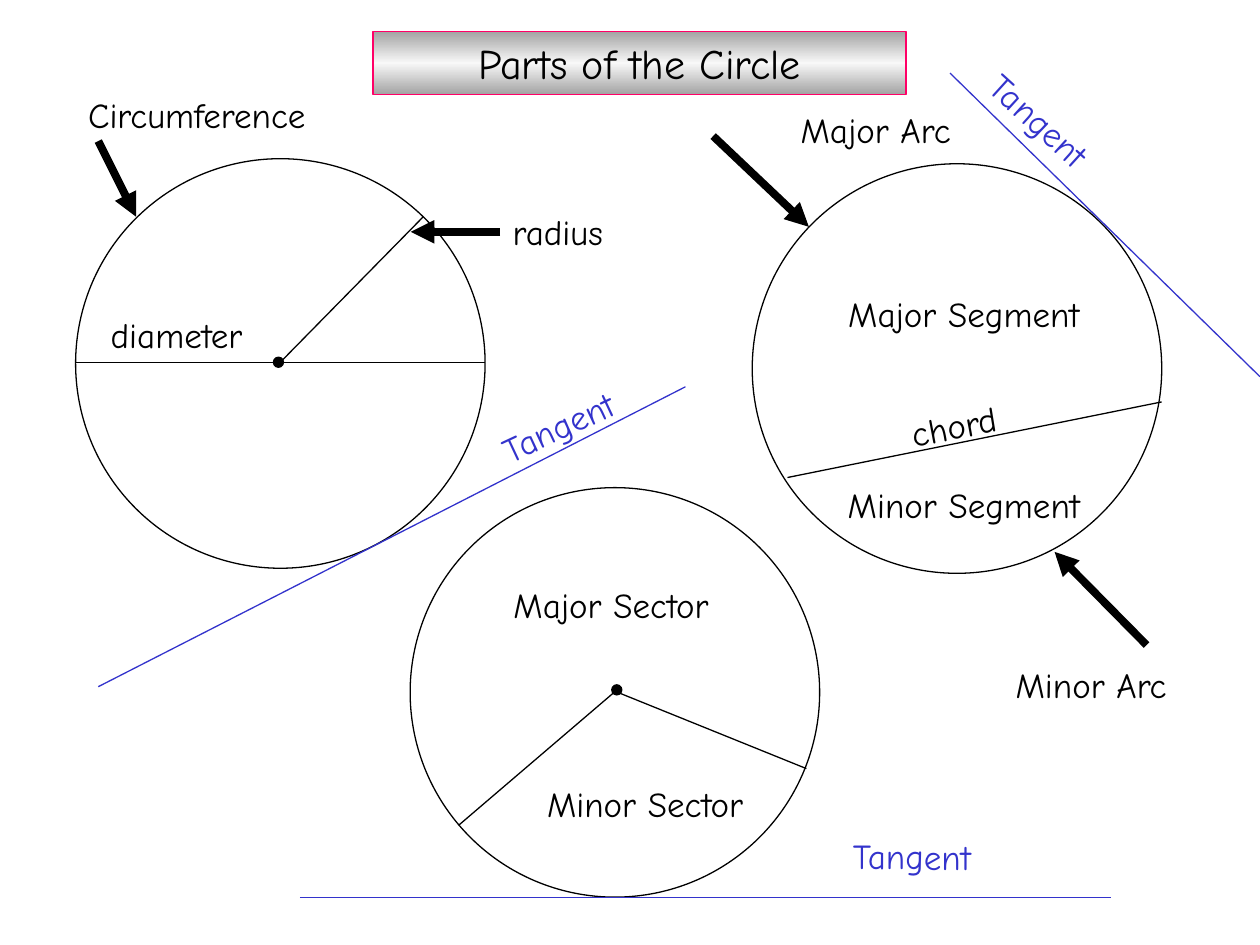
from copy import deepcopy
from typing import NamedTuple

from pptx import Presentation
from pptx.dml.color import RGBColor
from pptx.enum.shapes import MSO_CONNECTOR, MSO_SHAPE
from pptx.enum.text import MSO_ANCHOR, MSO_AUTO_SIZE, PP_ALIGN
from pptx.oxml.ns import qn
from pptx.util import Inches, Pt

STRAIGHT = MSO_CONNECTOR.STRAIGHT
OVAL = MSO_SHAPE.OVAL
LEFT, CENTER = PP_ALIGN.LEFT, PP_ALIGN.CENTER
TOP = MSO_ANCHOR.TOP
FIXED_SIZE = MSO_AUTO_SIZE.NONE

BLACK = RGBColor(0x00, 0x00, 0x00)
BLUE = RGBColor(0x33, 0x33, 0xCC)
PINK = RGBColor(0xFF, 0x00, 0x66)
GREY = RGBColor(0xA3, 0xA3, 0xA3)
PALE = RGBColor(0xF8, 0xF8, 0xF8)
FONT = "Comic Neue"

SLIDE_W, SLIDE_H = Inches(10), Inches(7.5)
COLUMNS, ROWS = 100, 75
THIN, THICK = 0.75, 4.5
RADIUS, DOT_RADIUS = 16.25, 0.4
LABEL_H = 4.4


class Circle(NamedTuple):
    x: float
    y: float
    radius: float = RADIUS
    filled: bool = False


class Line(NamedTuple):
    x1: float
    y1: float
    x2: float
    y2: float
    color: RGBColor = BLACK
    arrow: bool = False


class Label(NamedTuple):
    text: str
    x: float
    y: float
    width: float
    align: PP_ALIGN = CENTER
    color: RGBColor = BLACK
    angle: float = 0


CIRCLES = [
    Circle(22.25, 28.85),
    Circle(75.95, 29.25),
    Circle(48.8, 54.95),
    Circle(22.1, 28.75, DOT_RADIUS, True),
    Circle(48.95, 54.75, DOT_RADIUS, True),
]

LINES = [
    Line(6, 28.75, 38.5, 28.75),  # diameter
    Line(22.2, 28.8, 33.6, 17.2),  # radius
    Line(62.5, 37.9, 92.2, 31.9),  # chord
    Line(48.8, 54.9, 36.4, 65.5),  # sector sides
    Line(48.9, 54.9, 64, 61),
    Line(7.8, 54.5, 54.4, 30.7, BLUE),  # tangents
    Line(23.8, 71.25, 88.2, 71.25, BLUE),
    Line(75.4, 5.8, 100, 29.9, BLUE),
    Line(7.8, 11.2, 10.8, 17.2, arrow=True),  # circumference
    Line(39.7, 18.4, 32.6, 18.4, arrow=True),  # radius
    Line(56.6, 10.8, 64.2, 18, arrow=True),  # major arc
    Line(91, 51.2, 83.7, 43.8, arrow=True),  # minor arc
]

LABELS = [
    Label("Circumference", 6, 6.9, 25.8, LEFT),
    Label("diameter", 7.8, 24.4, 25.8, LEFT),
    Label("radius", 39.7, 16.2, 11, LEFT),
    Label("chord", 71.3, 31.4, 11, LEFT, angle=-10.7),
    Label("Major Segment", 63.9, 22.7, 25.2),
    Label("Minor Segment", 63.9, 37.9, 25.2),
    Label("Major Arc", 59.6, 8.1, 19.8),
    Label("Minor Arc", 76.7, 52.2, 19.8),
    Label("Major Sector", 38.6, 45.8, 19.8),
    Label("Minor Sector", 41.3, 61.6, 19.8),
    Label("Tangent", 38.3, 30, 19.2, LEFT, BLUE, -25.1),
    Label("Tangent", 75.8, 10, 19.2, LEFT, BLUE, 42.2),
    Label("Tangent", 66.7, 65.8, 19.2, LEFT, BLUE, 0.2),
]


def col(n: float) -> int:
    return round(SLIDE_W * n / COLUMNS)


def row(n: float) -> int:
    return round(SLIDE_H * n / ROWS)


def set_text(sp, text: str, size: float, color: RGBColor, align: PP_ALIGN) -> None:
    tf = sp.text_frame
    tf.text = text
    tf.word_wrap = True
    tf.auto_size = FIXED_SIZE
    tf.vertical_anchor = TOP
    p = tf.paragraphs[0]
    p.alignment = align
    p.space_before = Pt(0)
    font = p.runs[0].font
    font.name, font.size, font.color.rgb = FONT, Pt(size), color


def draw_title(sp) -> None:
    sp.left, sp.top, sp.width, sp.height = col(29.6), row(2.5), col(42.3), row(5)
    set_text(sp, "Parts of the Circle", 24, BLACK, CENTER)
    sp.line.color.rgb, sp.line.width = PINK, Pt(THIN)
    sp.fill.gradient()
    sp.fill.gradient_angle = 270
    stops = sp._element.spPr.find(".//" + qn("a:gsLst"))
    stops.append(deepcopy(stops[0]))
    for stop, position, color in zip(
        sp.fill.gradient_stops, (0, 0.5, 1), (GREY, PALE, GREY)
    ):
        stop.position, stop.color.rgb = position, color


def draw_circle(shapes, circle: Circle) -> None:
    r = circle.radius
    sp = shapes.add_shape(
        OVAL, col(circle.x - r), row(circle.y - r), col(2 * r), row(2 * r)
    )
    sp.shadow.inherit = False
    sp.line.color.rgb, sp.line.width = BLACK, Pt(THIN)
    if circle.filled:
        sp.fill.solid()
        sp.fill.fore_color.rgb = BLACK
    else:
        sp.fill.background()


def draw_line(shapes, line: Line) -> None:
    s = shapes.add_connector(
        STRAIGHT, col(line.x1), row(line.y1), col(line.x2), row(line.y2)
    )
    s.line.color.rgb = line.color
    s.line.width = Pt(THICK if line.arrow else THIN)
    props = s._element.spPr
    if line.arrow:
        ln = props.find(qn("a:ln"))
        ln.append(ln.makeelement(qn("a:tailEnd"), {"type": "triangle"}))
    props.append(props.makeelement(qn("a:effectLst"), {}))


def draw_label(shapes, label: Label) -> None:
    sp = shapes.add_textbox(
        col(label.x), row(label.y), col(label.width), row(LABEL_H)
    )
    sp.rotation = label.angle
    set_text(sp, label.text, 20, label.color, label.align)


def main() -> None:
    prs = Presentation()
    prs.slide_width, prs.slide_height = SLIDE_W, SLIDE_H
    slide = prs.slides.add_slide(prs.slide_layouts[5])
    draw_title(slide.shapes.title)
    for circle in CIRCLES:
        draw_circle(slide.shapes, circle)
    for line in LINES:
        draw_line(slide.shapes, line)
    for label in LABELS:
        draw_label(slide.shapes, label)
    prs.save("out.pptx")


if __name__ == "__main__":
    main()
